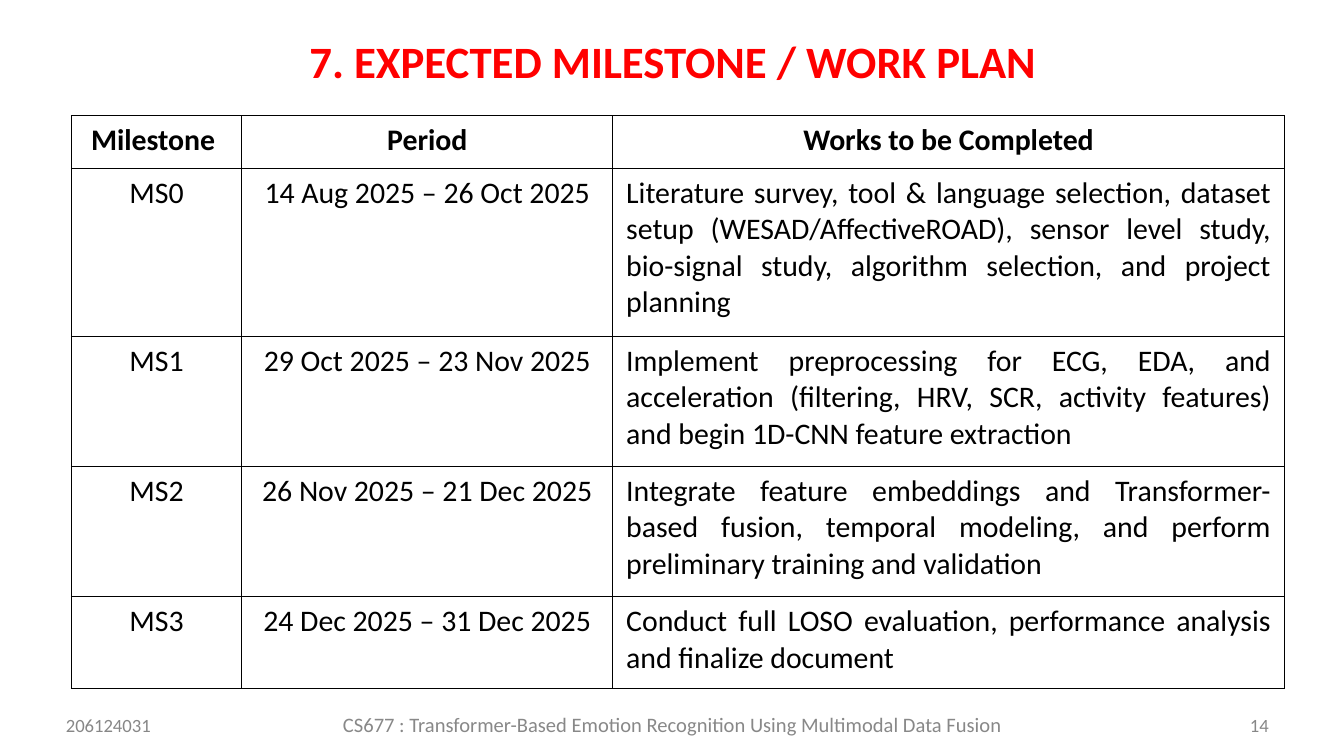
from lxml import etree
from pptx import Presentation
from pptx.dml.color import RGBColor
from pptx.enum.text import MSO_ANCHOR, PP_ALIGN as Align
from pptx.oxml.ns import qn
from pptx.util import Inches, Pt


def style(para, size, color, align, bold=False):
    para.alignment = align
    for run in para.runs:
        font = run.font
        font.name = "Calibri"
        font.size = Pt(size)
        font.bold = bold
        font.color.rgb = RGBColor.from_string(color)


def border(cell, color, width):
    props = cell._tc.get_or_add_tcPr()
    for side in ("lnL", "lnR", "lnT", "lnB"):
        line = etree.SubElement(props, qn("a:" + side), w=str(Pt(width)))
        fill = etree.SubElement(line, qn("a:solidFill"))
        etree.SubElement(fill, qn("a:srgbClr"), val=color)


# Slide in 16:9
prs = Presentation()
prs.slide_width = Inches(10)
prs.slide_height = Inches(10 * 9 / 16)
slide = prs.slides.add_slide(prs.slide_layouts[5])

# Title
title = slide.shapes.title
title.left, title.top = Inches(2.12), Inches(0.24)
title.width, title.height = Inches(5.77), Inches(0.42)
frame = title.text_frame
frame.text = "7. EXPECTED MILESTONE / WORK PLAN"
frame.margin_left = frame.margin_right = frame.margin_bottom = 0
frame.margin_top = Inches(0.01)
frame.vertical_anchor = MSO_ANCHOR.TOP
style(frame.paragraphs[0], 24, "FF0000", Align.CENTER, True)

# Milestone table
rows = [
    ("Milestone ", "Period", "Works to be Completed"),
    ("MS0", "14 Aug 2025 – 26 Oct 2025",
     "Literature survey, tool & language selection, dataset setup "
     "(WESAD/AffectiveROAD), sensor level study, bio-signal study, "
     "algorithm selection, and project planning"),
    ("MS1", "29 Oct 2025 – 23 Nov 2025",
     "Implement preprocessing for ECG, EDA, and acceleration (filtering, "
     "HRV, SCR, activity features) and begin 1D-CNN feature extraction"),
    ("MS2", "26 Nov 2025 – 21 Dec 2025",
     "Integrate feature embeddings and Transformer-based fusion, temporal "
     "modeling, and perform preliminary training and validation"),
    ("MS3", "24 Dec 2025 – 31 Dec 2025",
     "Conduct full LOSO evaluation, performance analysis and finalize "
     "document"),
]
widths = [1.27, 2.76, 5]
heights = [0.39, 1.25, 0.97, 0.97, 0.68]
table = slide.shapes.add_table(
    len(rows), len(widths), Inches(0.53), Inches(0.86),
    Inches(sum(widths)), Inches(sum(heights))).table
table.first_row = table.horz_banding = False
for col, width in zip(table.columns, widths):
    col.width = Inches(width)
for r, (row, height) in enumerate(zip(rows, heights)):
    table.rows[r].height = Inches(height)
    for c, text in enumerate(row):
        cell = table.cell(r, c)
        cell.text_frame.text = text
        border(cell, "000000", 0.45)
        if r == 0:
            cell.fill.solid()
            cell.fill.fore_color.rgb = RGBColor.from_string("FFFFFF")
        else:
            cell.fill.background()
        align = Align.JUSTIFY if r and c == 2 else Align.CENTER
        style(cell.text_frame.paragraphs[0], 16, "000000", align, r == 0)

# Footer: course, roll number, page
course = "CS677 : Transformer-Based Emotion Recognition Using Multimodal Data Fusion"
for text, left, top, width, size, color, align in [
    (course, 2.51, 5.3, 4.99, 11, "888888", Align.CENTER),
    ("206124031", 0.49, 5.31, 0.76, 10, "878787", Align.LEFT),
    ("14", 9.3, 5.31, 0.21, 10, "878787", Align.LEFT),
]:
    box = slide.shapes.add_textbox(
        Inches(left), Inches(top), Inches(width), Inches(0.18))
    frame = box.text_frame
    frame.word_wrap = True
    frame.margin_left = frame.margin_right = 0
    frame.margin_top = frame.margin_bottom = 0
    frame.text = text
    style(frame.paragraphs[0], size, color, align)

prs.save("out.pptx")
